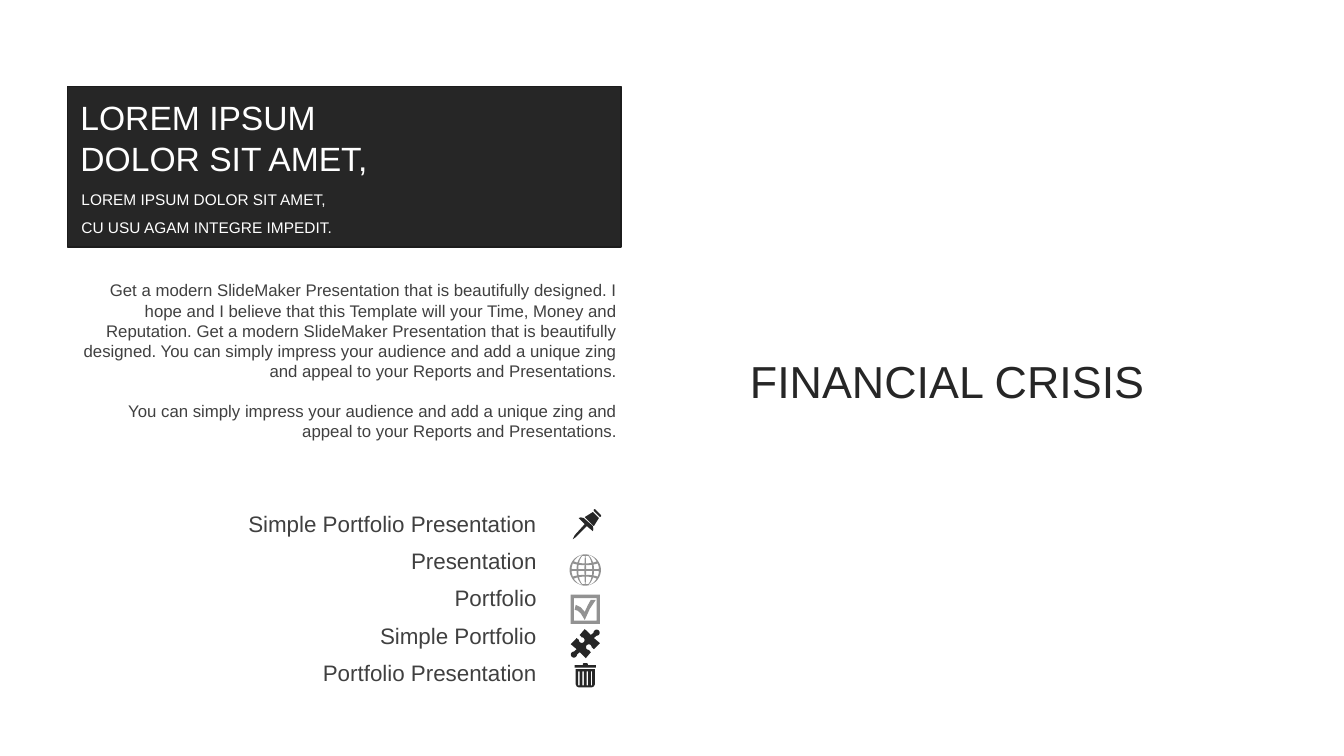
from math import cos, radians, sin, sqrt

from lxml import etree
from pptx import Presentation
from pptx.dml.color import RGBColor
from pptx.enum.shapes import MSO_SHAPE as SHAPE
from pptx.enum.text import MSO_ANCHOR as ANCHOR, PP_ALIGN as ALIGN
from pptx.oxml.ns import qn
from pptx.util import Inches, Pt

DARK, BODY, GREY, WHITE = "262626", "404040", "929292", "FFFFFF"


def rgb(color):
    return RGBColor.from_string(color)


def write(sp, lines, size, color, align, anchor=ANCHOR.TOP, spacing=None, gap=0):
    """Fill a shape with paragraphs of one style; gap is the space between them."""
    tf = sp.text_frame
    tf.word_wrap = True
    tf.vertical_anchor = anchor
    for i, line in enumerate(lines):
        p = tf.paragraphs[0] if i == 0 else tf.add_paragraph()
        p.text = line
        p.alignment = align
        if spacing:
            p.line_spacing = spacing
        if i and gap:
            p.space_before = Pt(gap)
        p.font.name = "Arial"
        p.font.size = Pt(size)
        p.font.color.rgb = rgb(color)
    return tf


def add_text(shapes, x, y, w, h, *args, **style):
    sp = shapes.add_textbox(Inches(x), Inches(y), Inches(w), Inches(h))
    return write(sp, *args, **style)


def add_rect(shapes, x, y, w, h, fill):
    sp = shapes.add_shape(SHAPE.RECTANGLE, Inches(x), Inches(y), Inches(w), Inches(h))
    sp.shadow.inherit = False
    sp.fill.solid()
    sp.fill.fore_color.rgb = rgb(fill)
    sp.line.fill.background()
    return sp


def add_icon(shapes, x, y, contours, color):
    """Draw closed contours, given in hundredths of an inch from (x, y)."""
    outlines = [[(10 * px, 10 * py) for px, py in c] for c in contours]
    builder = shapes.build_freeform(*outlines[0][0], scale=Inches(1) / 1000)
    for i, points in enumerate(outlines):
        if i:
            builder.move_to(*points[0])
        builder.add_line_segments(points[1:], close=True)
    sp = builder.convert_to_shape(Inches(x), Inches(y))
    sp.shadow.inherit = False
    sp.fill.solid()
    sp.fill.fore_color.rgb = rgb(color)
    sp.line.fill.background()


def arc(cx, cy, radius, start, end, steps=16):
    angles = [radians(start + (end - start) * i / steps) for i in range(steps + 1)]
    return [(cx + radius * cos(a), cy + radius * sin(a)) for a in angles]


def rect(x, y, w, h):
    return [(x, y), (x + w, y), (x + w, y + h), (x, y + h)]


def pin():
    needle = [(11, 9), (20, 17), (20.5, 20), (20, 22), (14, 17), (3, 28),
              (0, 30), (2, 26), (12, 15), (6, 9), (8, 8.3)]
    grip = [(20, 3), (26, 9), (21, 17), (12, 8)]
    cap = [(22, 0), (28, 6), (28.3, 7.2), (27, 8), (21, 2), (20.8, 0.8)]
    return [needle, grip, cap]


def globe(radius=15.5, steps=6):
    """A disc with one hole for each cell between meridians and parallels."""
    def place(u, v):
        y = v * (1 + 0.5 * u * u * (1 - v * v))
        return radius * (1 + u * sqrt(1 - y * y)), radius * (1 + y)

    def cell(u0, u1, v0, v1):
        ramp = [i / steps for i in range(steps)]
        du, dv = u1 - u0, v1 - v0
        edge = [(u0 + du * t, v0) for t in ramp] + [(u1, v0 + dv * t) for t in ramp]
        edge += [(u1 - du * t, v1) for t in ramp] + [(u0, v1 - dv * t) for t in ramp]
        return [place(u, v) for u, v in edge]

    columns = [(-0.88, -0.56), (-0.45, -0.05), (0.05, 0.45), (0.56, 0.88)]
    rows = [(-0.9, -0.42), (-0.31, -0.05), (0.05, 0.31), (0.42, 0.9)]
    return [arc(radius, radius, radius, 0, 360, 48)] + [
        cell(*column, *row) for column in columns for row in rows]


def check_box():
    tick = [(4, 15), (5, 10), (10, 12.5), (14, 17), (17, 10.5), (20, 5),
            (25, 5), (19, 14), (14, 25), (10, 18.5), (7, 15.8)]
    return [rect(0, 0, 29, 29), rect(3.3, 3.3, 22.4, 22.4), tick]


def puzzle(center=14.5):
    """One half of the outline, and the same half turned by 180 degrees."""
    half = [(-0.5, -14.5), (5.5, -8.5), *arc(11.3, -10.9, 3, 180, 450), (8.5, -5.5),
            (14.5, -0.5), (8.5, 5.5), *arc(3.5, 3.5, 2.8, 0, -270), (5.5, 8.5)]
    outline = half + [(-x, -y) for x, y in half]
    return [[(center + x, center + y) for x, y in outline]]


def bin_icon():
    lid = [(8, 2), (8, 0.6), (8.6, 0), (12.4, 0), (13, 0.6), (13, 2),
           (21, 2), (21, 4.5), (0, 4.5), (0, 2)]
    body = [(1, 5.8), (20, 5.8), (20, 21), (19, 23), (17, 24),
            (4, 24), (2, 23), (1, 21)]
    return [lid, body] + [rect(3.4 + 4.2 * i, 8, 1.4, 14) for i in range(4)]


def header(slide, x, y, w, h):
    shapes = slide.shapes.add_group_shape().shapes
    sp = add_rect(shapes, x, y, w, h, DARK)
    sp.line.color.rgb = rgb("1C1C1C")
    sp.line.width = Pt(1)
    add_text(shapes, x + 0.04, y + 0.9, w - 0.06, 0.62,
             ["LOREM IPSUM DOLOR SIT AMET,", "CU USU AGAM INTEGRE IMPEDIT."],
             11, WHITE, ALIGN.JUSTIFY, anchor=ANCHOR.MIDDLE, spacing=1.5)
    add_text(shapes, x + 0.03, y + 0.05, w - 0.06, 0.91,
             ["LOREM IPSUM", "DOLOR SIT AMET,"],
             24, WHITE, ALIGN.JUSTIFY, anchor=ANCHOR.MIDDLE)


def description(slide, x, y, w, h):
    pitch = "Get a modern SlideMaker Presentation that is beautifully designed."
    appeal = ("You can simply impress your audience and add a unique zing and "
              "appeal to your Reports and Presentations.")
    hope = ("I hope and I believe that this Template will your Time, Money "
            "and Reputation.")
    tf = add_text(slide.shapes, x, y, w, h,
                  [f"{pitch} {hope} {pitch} {appeal}", appeal],
                  12, BODY, ALIGN.RIGHT, gap=14)
    tf.margin_left = tf.margin_right = Inches(0.12)


def icon_list(slide, x, y, w, pitch):
    items = [("Simple Portfolio Presentation", pin(), 3.49, -0.01, DARK),
             ("Presentation", globe(), 3.46, 0.07, GREY),
             ("Portfolio", check_box(), 3.47, 0.1, GREY),
             ("Simple Portfolio", puzzle(), 3.47, 0.07, DARK),
             ("Portfolio Presentation", bin_icon(), 3.51, 0.04, DARK)]
    for i, (label, contours, dx, dy, color) in enumerate(items):
        top = y + i * pitch
        add_text(slide.shapes, x, top, w, 0.32, [label], 16, BODY, ALIGN.RIGHT,
                 spacing=0.8)
        add_icon(slide.shapes, x + dx, top + dy, contours, color)


def title(slide, x, y, w, h):
    sp = add_rect(slide.shapes, x, y, w, h, WHITE)
    color = sp.fill._xPr.find(qn("a:solidFill"))[0]
    etree.SubElement(color, qn("a:alpha")).set("val", "70000")
    write(sp, ["FINANCIAL CRISIS"], 32, DARK, ALIGN.JUSTIFY)


def main():
    prs = Presentation()
    prs.slide_width, prs.slide_height = Inches(13.33), Inches(7.5)
    slide = prs.slides.add_slide(prs.slide_layouts[6])
    description(slide, 0.63, 2.73, 5.61, 1.72)
    icon_list(slide, 2.19, 5.06, 3.23, 0.37)
    title(slide, 7.34, 3.46, 5.33, 0.64)
    header(slide, 0.67, 0.86, 5.49, 1.59)
    prs.save("out.pptx")


if __name__ == "__main__":
    main()
